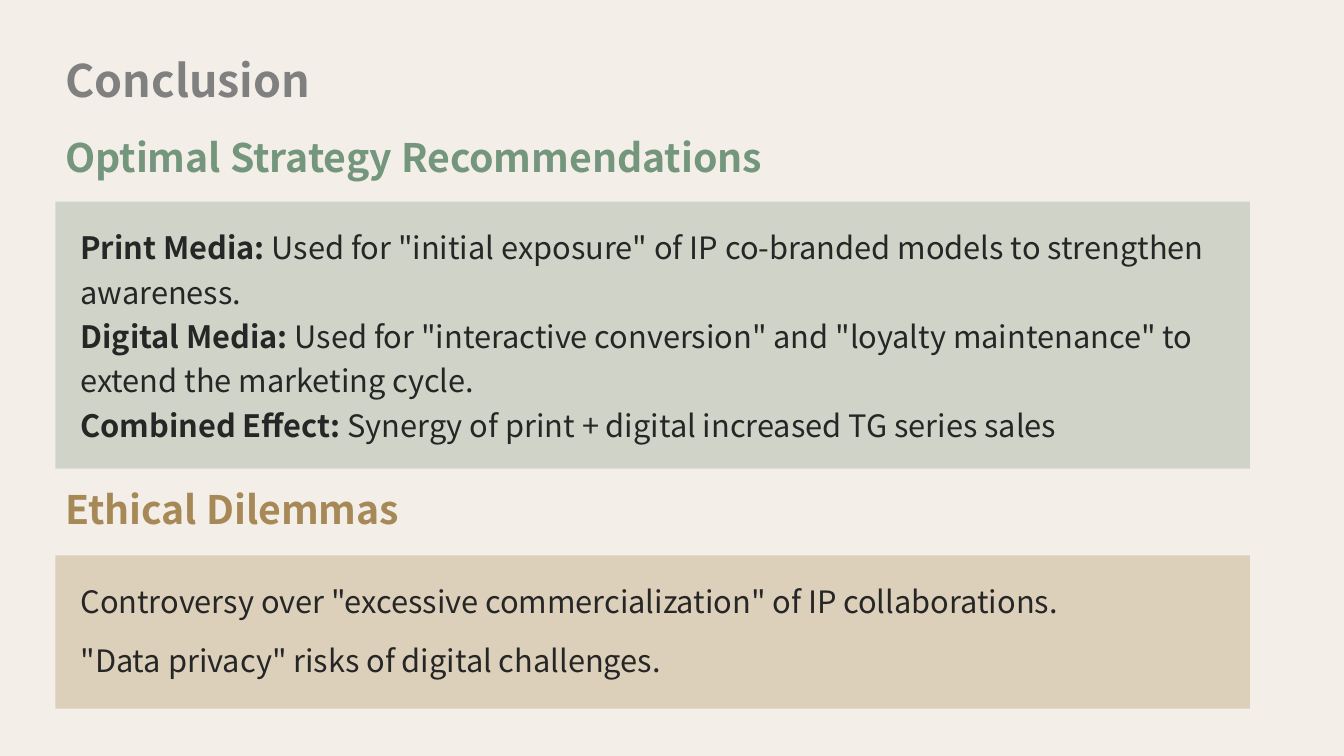
from pptx import Presentation
from pptx.dml.color import RGBColor
from pptx.enum.shapes import MSO_SHAPE
from pptx.util import Pt

FONT = "Noto Sans CJK SC"
CREAM = RGBColor(0xF3, 0xEF, 0xE8)
GRAY = RGBColor(0x80, 0x80, 0x80)
GREEN = RGBColor(0x74, 0x96, 0x7D)
GOLD = RGBColor(0xA7, 0x89, 0x57)
SAGE = RGBColor(0xD0, 0xD4, 0xC8)
SAND = RGBColor(0xDC, 0xD0, 0xBB)
INK = RGBColor(0x26, 0x26, 0x26)

LEFT = 39.6
INNER = 50.4

ADVICE = [
    [("Print Media: ", True),
     ('Used for "initial exposure" of IP co-branded models to strengthen awareness.', False)],
    [("Digital Media:", True),
     (' Used for "interactive conversion" and "loyalty maintenance" to extend the marketing cycle.', False)],
    [("Combined Effect:", True),
     (" Synergy of print + digital increased TG series sales", False)],
]
RISKS = [
    [('Controversy over "excessive commercialization" of IP collaborations.', False)],
    [('"Data privacy" risks of digital challenges.', False)],
]


def add_panel(slide, top, height, color):
    panel = slide.shapes.add_shape(
        MSO_SHAPE.RECTANGLE, Pt(LEFT), Pt(top), Pt(853.2), Pt(height))
    panel.shadow.inherit = False
    panel.fill.solid()
    panel.fill.fore_color.rgb = color
    panel.line.fill.background()


def add_text(slide, box, lines, size, color, pitch=1.0, gap=0):
    frame = slide.shapes.add_textbox(*map(Pt, box)).text_frame
    frame.word_wrap = True
    for index, line in enumerate(lines):
        para = frame.add_paragraph() if index else frame.paragraphs[0]
        para.line_spacing = pitch
        if index and gap:
            para.space_before = Pt(gap)
        for words, bold in line:
            run = para.add_run()
            run.text = words
            run.font.name = FONT
            run.font.size = Pt(size)
            run.font.bold = bold
            run.font.color.rgb = color


def add_head(slide, top, width, height, words, size, color):
    add_text(slide, (LEFT, top, width, height), [[(words, True)]], size, color)


def main():
    deck = Presentation()
    deck.slide_width, deck.slide_height = Pt(960), Pt(540)
    slide = deck.slides.add_slide(deck.slide_layouts[6])
    slide.background.fill.solid()
    slide.background.fill.fore_color.rgb = CREAM

    add_head(slide, 33.84, 892, 46, "Conclusion", 32, GRAY)
    add_panel(slide, 144, 190.8, SAGE)
    add_panel(slide, 396.72, 109.44, SAND)
    add_text(slide, (INNER, 154.8, 824.4, 167), ADVICE, 22, INK, 1.2)
    add_text(slide, (INNER, 417.6, 794.88, 71.3), RISKS, 22, INK, 0.8, 21)
    add_head(slide, 91.44, 607.68, 41, "Optimal Strategy Recommendations", 28, GREEN)
    add_head(slide, 343.44, 346.32, 41, "Ethical Dilemmas", 28, GOLD)
    deck.save("out.pptx")


if __name__ == "__main__":
    main()
